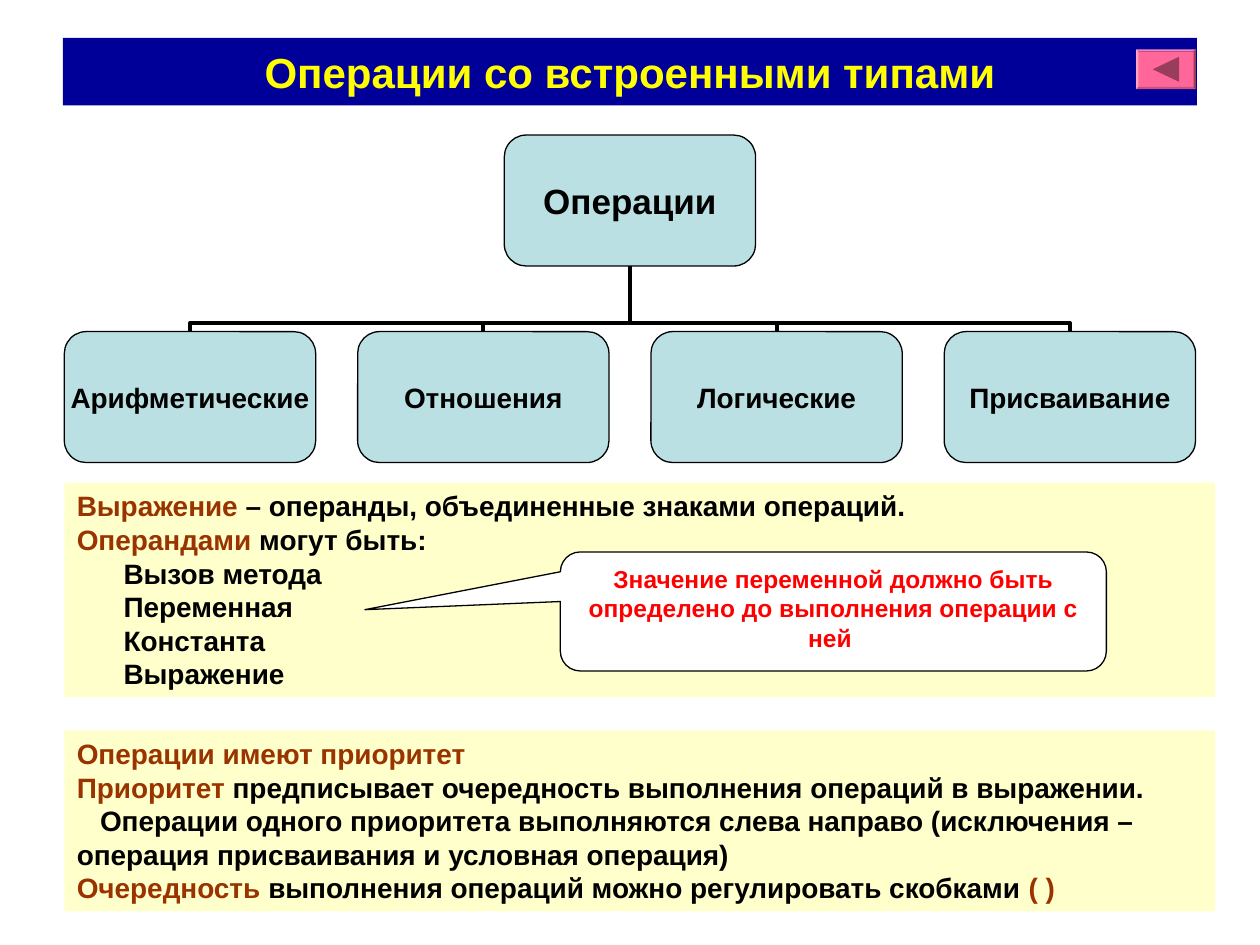
from dataclasses import dataclass

from lxml import etree
from pptx import Presentation
from pptx import util as u
from pptx.dml.color import RGBColor
from pptx.enum import shapes, text
from pptx.oxml.ns import qn

Pt = u.Pt
SHAPE = shapes.MSO_SHAPE
ALIGN = text.PP_ALIGN
ANCHOR = text.MSO_ANCHOR


@dataclass(frozen=True)
class Theme:
    font: str = "Arial"
    banner: str = "000099"
    title: str = "FFFF00"
    node: str = "BBE0E3"
    panel: str = "FFFFCC"
    term: str = "993300"
    ink: str = "000000"
    paper: str = "FFFFFF"
    warning: str = "FF0000"
    button: str = "FF6699"
    arrow: str = "993D5C"
    title_size: float = 24
    root_size: float = 20
    body_size: float = 16
    note_size: float = 14
    outline: float = 0.75
    branch: float = 2.25


def write_text(frame, paragraphs, *, font, size, color, align=ALIGN.LEFT,
               anchor=ANCHOR.MIDDLE, wrap=True, inset=(7.2, 3.6)):
    frame.word_wrap = wrap
    frame.vertical_anchor = anchor
    frame.margin_left = frame.margin_right = Pt(inset[0])
    frame.margin_top = frame.margin_bottom = Pt(inset[1])
    for index, (indents, spans) in enumerate(paragraphs):
        para = frame.paragraphs[0] if index == 0 else frame.add_paragraph()
        para.alignment = align
        properties = para._p.get_or_add_pPr()
        for name, length in indents.items():
            properties.set(name, str(Pt(length)))
        for words, span_color in spans:
            span = para.add_run()
            span.text = words
            span.font.name = font
            span.font.size = Pt(size)
            span.font.bold = True
            span.font.color.rgb = RGBColor.from_string(span_color or color)


class SlideBuilder:
    def __init__(self, page, theme):
        self.page = page
        self.theme = theme

    def box(self, kind, left, top, width, height, fill, outlined=False, adjustments=()):
        box = self.page.shapes.add_shape(kind, Pt(left), Pt(top), Pt(width), Pt(height))
        box.shadow.inherit = False
        box.fill.solid()
        box.fill.fore_color.rgb = RGBColor.from_string(fill)
        if outlined:
            box.line.color.rgb = RGBColor.from_string(self.theme.ink)
            box.line.width = Pt(self.theme.outline)
        else:
            box.line.fill.background()
        for index, value in enumerate(adjustments):
            box.adjustments[index] = value
        return box

    def banner(self, words, *bounds):
        box = self.box(SHAPE.RECTANGLE, *bounds, self.theme.banner)
        write_text(box.text_frame, [({}, [(words, None)])], font=self.theme.font,
                   size=self.theme.title_size, color=self.theme.title, align=ALIGN.CENTER)

    def back_button(self, left, top, width, height):
        self.box(SHAPE.BEVEL, left, top, width, height, self.theme.button,
                 adjustments=[0.06])
        base, rise = 14.4, 15.2
        arrow = self.box(SHAPE.ISOSCELES_TRIANGLE, left + (width - base) / 2,
                         top + (height - rise) / 2, base, rise, self.theme.arrow)
        arrow.rotation = 270

    def node(self, words, size, *bounds):
        box = self.box(SHAPE.ROUNDED_RECTANGLE, *bounds, self.theme.node, True, [0.167])
        write_text(box.text_frame, [({}, [(words, None)])], font=self.theme.font,
                   size=size, color=self.theme.ink, align=ALIGN.CENTER,
                   wrap=False, inset=(0, 0))

    def branch(self, child_x, child_y, parent_x, parent_y):
        middle_x, middle_y = (child_x + parent_x) / 2, (child_y + parent_y) / 2
        side = 1 if child_x > parent_x else -1
        half_width = side * (child_y - parent_y) / 2
        half_height = abs(child_x - parent_x) / 2
        line = self.page.shapes.add_connector(
            shapes.MSO_CONNECTOR.ELBOW,
            Pt(middle_x - half_width), Pt(middle_y + half_height),
            Pt(middle_x + half_width), Pt(middle_y - half_height))
        line.line.color.rgb = RGBColor.from_string(self.theme.ink)
        line.line.width = Pt(self.theme.branch)
        properties = line._element.spPr
        degrees = 270 if side > 0 else 90
        properties.find(qn("a:xfrm")).set("rot", str(degrees * 60000))
        guides = properties.find(qn("a:prstGeom")).find(qn("a:avLst"))
        etree.SubElement(guides, qn("a:gd"), name="adj1", fmla="val 12800")
        etree.SubElement(properties, qn("a:effectLst"))

    def panel(self, paragraphs, *bounds, anchor=ANCHOR.MIDDLE):
        box = self.box(SHAPE.RECTANGLE, *bounds, self.theme.panel)
        write_text(box.text_frame, paragraphs, font=self.theme.font,
                   size=self.theme.body_size, color=self.theme.ink, anchor=anchor)

    def callout(self, words, *bounds):
        box = self.box(SHAPE.ROUNDED_RECTANGULAR_CALLOUT, *bounds, self.theme.paper,
                       True, [-0.858, -0.015, 0.167])
        write_text(box.text_frame, [({}, [(words, None)])], font=self.theme.font,
                   size=self.theme.note_size, color=self.theme.warning,
                   align=ALIGN.CENTER, anchor=ANCHOR.TOP)


def main():
    deck = Presentation()
    deck.slide_width, deck.slide_height = Pt(720), Pt(540)
    page = deck.slides.add_slide(deck.slide_layouts[6])
    theme = Theme()
    builder = SlideBuilder(page, theme)

    builder.banner("Операции со встроенными типами", 36, 21.6, 648, 38.6)
    builder.back_button(649.2, 28.2, 34.2, 22.8)

    kinds = ["Арифметические", "Отношения", "Логические", "Присваивание"]
    center, step, width, height = 360, 167.6, 143.6, 74.8
    root_top, kinds_top = 77.2, 189.5
    centers = [center + (i - (len(kinds) - 1) / 2) * step for i in range(len(kinds))]
    for x in reversed(centers):
        builder.branch(x, kinds_top, center, root_top + height)
    builder.node("Операции", theme.root_size, center - width / 2, root_top, width, height)
    for x, kind in zip(centers, kinds):
        builder.node(kind, theme.body_size, x - width / 2, kinds_top, width, height)

    operands = ["Вызов метода", "Переменная", "Константа", "Выражение"]
    builder.panel([
        ({}, [("Выражение ", theme.term),
              ("– операнды, объединенные знаками операций.", None)]),
        ({}, [("Операндами ", theme.term), ("могут быть:", None)]),
        *[({"marL": 26.7}, [(operand, None)]) for operand in operands],
    ], 36.8, 275.8, 657.6, 122.4)
    builder.panel([
        ({}, [("Операции имеют приоритет", theme.term)]),
        ({}, [("Приоритет ", theme.term),
              ("предписывает очередность выполнения операций в выражении.", None)]),
        ({"indent": 13.3}, [("Операции одного приоритета выполняются слева направо "
                             "(исключения – операция присваивания и условная операция)",
                             None)]),
        ({}, [("Очередность", theme.term),
              (" выполнения операций можно регулировать скобками ", None),
              ("( )", theme.term)]),
    ], 36.8, 417.4, 657.6, 103.4, anchor=ANCHOR.TOP)
    builder.callout("Значение переменной должно быть определено до выполнения "
                    "операции с ней ", 320.2, 315.4, 312, 68)

    deck.save("out.pptx")


if __name__ == "__main__":
    main()
